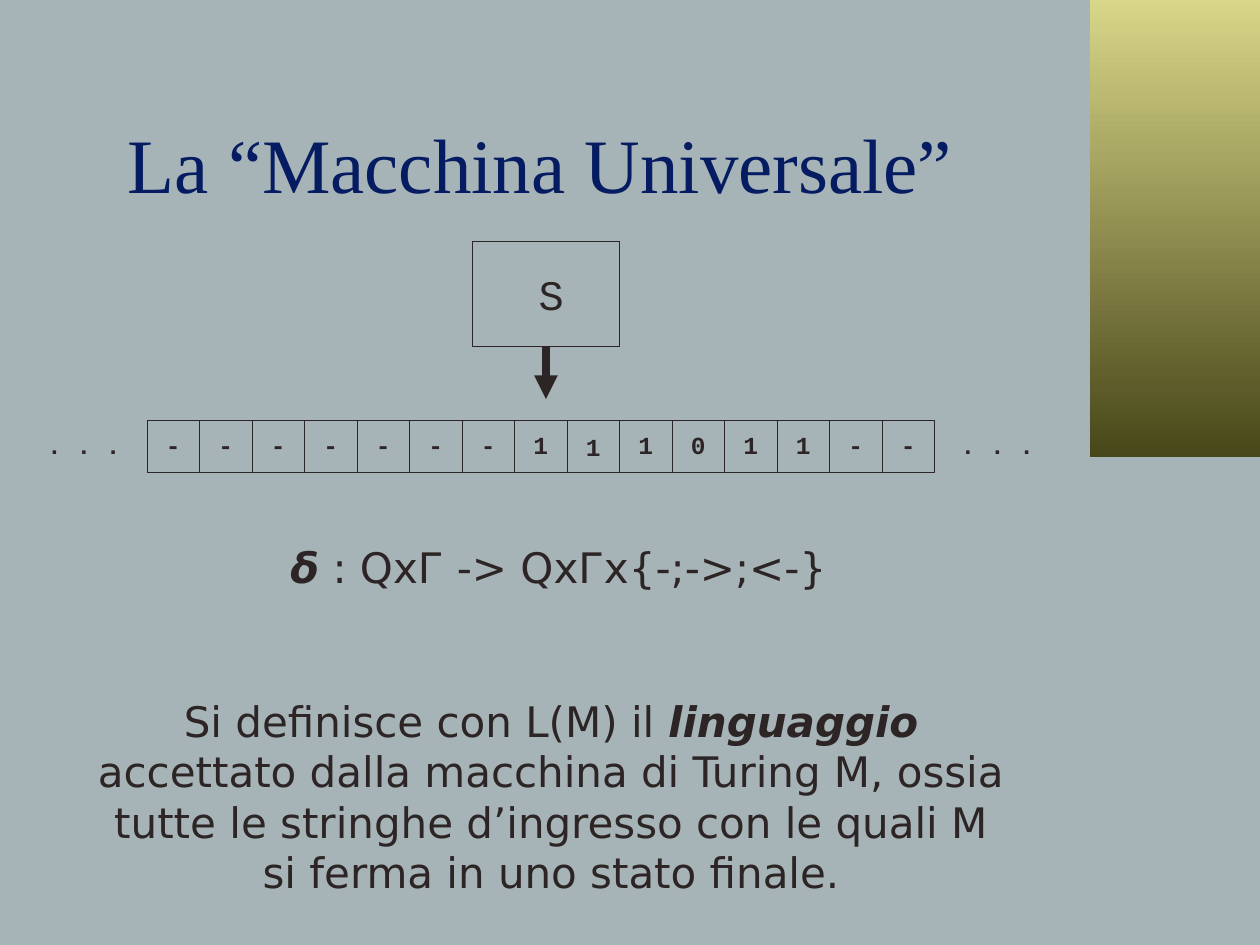
from lxml import etree
from pptx import Presentation
from pptx.dml.color import RGBColor
from pptx.enum.shapes import MSO_CONNECTOR, MSO_SHAPE
from pptx.enum.text import MSO_ANCHOR, MSO_AUTO_SIZE, PP_ALIGN
from pptx.oxml.ns import qn
from pptx.util import Pt

RECTANGLE = MSO_SHAPE.RECTANGLE
STRAIGHT = MSO_CONNECTOR.STRAIGHT
MIDDLE = MSO_ANCHOR.MIDDLE
NO_AUTOFIT = MSO_AUTO_SIZE.NONE
CENTER = PP_ALIGN.CENTER

BACKGROUND = RGBColor(0xA7, 0xB4, 0xB7)
NAVY = RGBColor(0x06, 0x1C, 0x62)
INK = RGBColor(0x2D, 0x25, 0x25)
BAND_TOP = RGBColor(0xD8, 0xD6, 0x88)
BAND_BOTTOM = RGBColor(0x48, 0x47, 0x19)

MONO = "Courier New"
SANS = "DejaVu Sans"
SERIF = "Times New Roman"

TAPE = "-------111011--"
HEAD_CELL = 8
CELL = 30
TAPE_LEFT, TAPE_TOP = 84, 240
SYMBOL_INSET = 6
SYMBOL_HEIGHT = 16.5
ELLIPSIS = ". . ."


def format_paragraph(paragraph, font_name, size, color, space_before=0, bold=None):
    """Centre a paragraph and set its font."""
    paragraph.alignment = CENTER
    paragraph.space_before = Pt(space_before)
    font = paragraph.font
    font.name, font.size, font.bold = font_name, Pt(size), bold
    font.color.rgb = color


def add_title(slide, text):
    """Place and format the title placeholder."""
    title = slide.shapes.title
    title.left, title.top, title.width, title.height = Pt(18), Pt(48), Pt(582), Pt(90)
    frame = title.text_frame
    frame.text = text
    frame.vertical_anchor = MIDDLE
    frame.auto_size = NO_AUTOFIT
    format_paragraph(frame.paragraphs[0], SERIF, 44, NAVY)


def add_band(slide):
    """Add the gradient band in the top right corner."""
    band = slide.shapes.add_shape(RECTANGLE, Pt(622.8), Pt(0), Pt(97.2), Pt(261.36))
    band.shadow.inherit = False
    band.line.fill.background()
    band.fill.gradient()
    band.fill.gradient_angle = 270
    for stop, color in zip(band.fill.gradient_stops, (BAND_TOP, BAND_BOTTOM)):
        stop.color.rgb = color


def add_box(slide, left, top, width, height):
    """Add an unfilled rectangle with a hairline."""
    box = slide.shapes.add_shape(RECTANGLE, Pt(left), Pt(top), Pt(width), Pt(height))
    box.shadow.inherit = False
    box.fill.background()
    box.line.color.rgb = INK
    box.line.width = Pt(0.25)
    return box


def add_text_frame(slide, left, top, width, height):
    """Add a wrapping text box and return its frame."""
    frame = slide.shapes.add_textbox(Pt(left), Pt(top), Pt(width), Pt(height)).text_frame
    frame.word_wrap = True
    return frame


def add_tape_text(slide, text, left, top, width):
    """Add a label without margins on the tape."""
    frame = add_text_frame(slide, left, top, width, SYMBOL_HEIGHT)
    frame.margin_left = frame.margin_right = frame.margin_top = frame.margin_bottom = 0
    frame.text = text
    format_paragraph(frame.paragraphs[0], MONO, 14, INK, 8.8, bold=True)


def add_tape(slide):
    """Add the tape cells, their symbols and the ellipses at both ends."""
    symbol_top = TAPE_TOP + SYMBOL_INSET
    for index, symbol in enumerate(TAPE):
        left = TAPE_LEFT + index * CELL
        add_box(slide, left, TAPE_TOP, CELL, CELL)
        top = symbol_top + (1 if index == HEAD_CELL else 0)
        add_tape_text(slide, symbol, left + SYMBOL_INSET, top, CELL - 2 * SYMBOL_INSET)
    for left in (18, 540):
        add_tape_text(slide, ELLIPSIS, left, symbol_top, 60)


def add_control_unit(slide):
    """Add the state box with its arrow towards the tape."""
    unit = add_box(slide, 270, 138, 84, 60)
    arrow = slide.shapes.add_connector(STRAIGHT, Pt(312), Pt(198), Pt(312), Pt(228))
    arrow.begin_connect(unit, 2)
    arrow.line.color.rgb = INK
    arrow.line.width = Pt(4.5)
    etree.SubElement(arrow.line._get_or_add_ln(), qn("a:tailEnd"), type="triangle")
    etree.SubElement(arrow._element.spPr, qn("a:effectLst"))
    state = add_text_frame(slide, 294, 150, 42, 36)
    state.text = "S"
    format_paragraph(state.paragraphs[0], MONO, 24, INK, 15)


def add_definitions(slide):
    """Add the transition function and the definition of the language."""
    frame = add_text_frame(slide, 48, 306, 534, 210)
    transition, language = frame.paragraphs[0], frame.add_paragraph()
    contents = (
        (transition, 15, ((" δ", True), (" : QxГ -> QxГx{-;->;<-}", False))),
        (language, 59, (
            ("Si definisce con L(M) il ", False),
            ("linguaggio", True),
            (" accettato dalla macchina di Turing M, ossia tutte le stringhe "
             "d’ingresso con le quali M si ferma in uno stato finale.", False),
        )),
    )
    for paragraph, space_before, runs in contents:
        format_paragraph(paragraph, SANS, 24, INK, space_before)
        for text, emphasised in runs:
            run = paragraph.add_run()
            run.text = text
            run.font.bold = run.font.italic = emphasised


def main():
    """Build the slide and save it."""
    presentation = Presentation()
    presentation.slide_width, presentation.slide_height = Pt(720), Pt(540)
    slide = presentation.slides.add_slide(presentation.slide_layouts[5])
    slide.background.fill.solid()
    slide.background.fill.fore_color.rgb = BACKGROUND
    add_band(slide)
    add_title(slide, "La “Macchina Universale”")
    add_definitions(slide)
    add_tape(slide)
    add_control_unit(slide)
    presentation.save("out.pptx")


if __name__ == "__main__":
    main()
